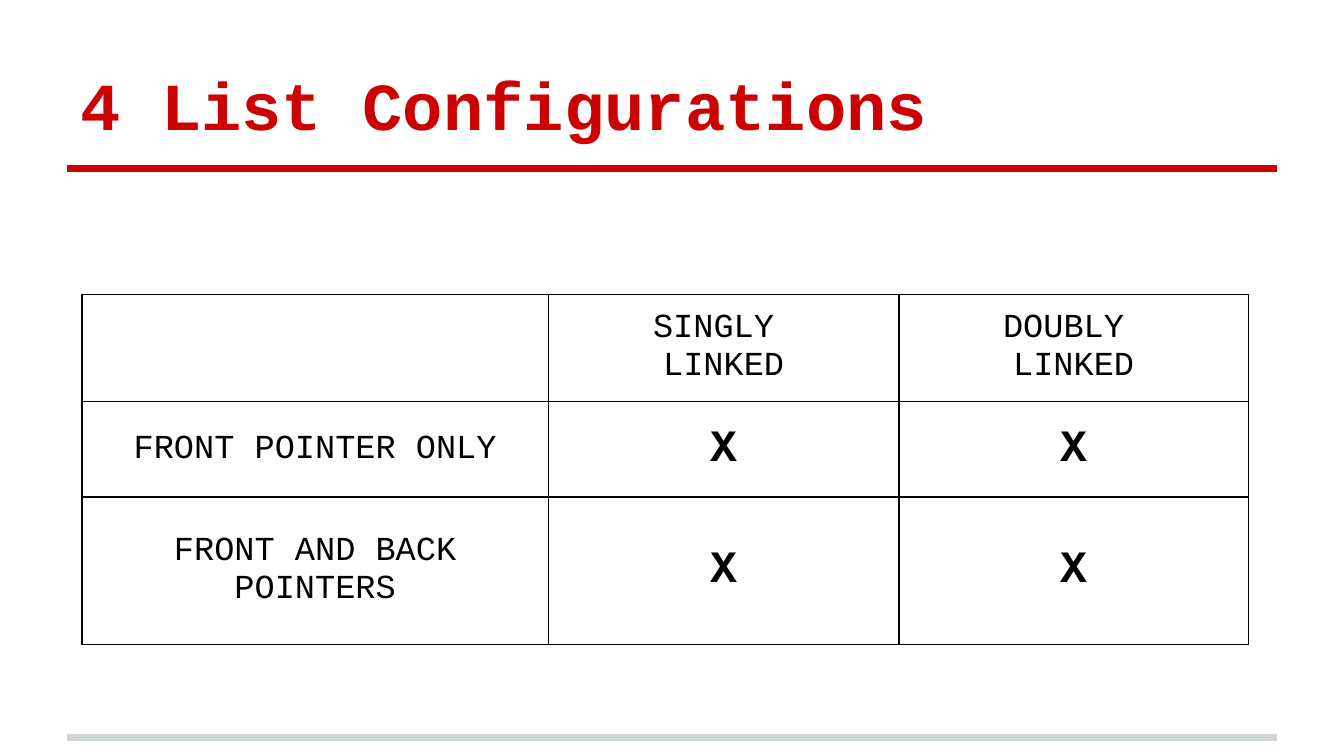
from lxml.etree import SubElement
from pptx import Presentation
from pptx.dml.color import RGBColor
from pptx.enum.text import MSO_ANCHOR, PP_ALIGN
from pptx.enum.shapes import MSO_CONNECTOR
from pptx.oxml import parse_xml
from pptx.oxml.ns import nsdecls, qn
from pptx.util import Cm, Pt

hues = {"red": "CC0202", "gray": "CFD4D4", "black": "000000"}
face = "Courier New"
looks = {
    "title": {"name": face, "size": Pt(36), "bold": True},
    "label": {"name": face, "size": Pt(18), "bold": False},
    "mark": {"name": face, "size": Pt(24), "bold": True},
}
pad = Cm(0.25)
inset = {f"margin_{side}": pad for side in ("left", "top", "right", "bottom")}


def assign(item, values):
    for key, value in values.items():
        setattr(item, key, value)


def write(frame, text, look, hue, align):
    frame.text = text
    for para in frame.paragraphs:
        para.alignment = align
        for run in para.runs:
            assign(run.font, looks[look])
            run.font.color.rgb = RGBColor.from_string(hues[hue])


deck = Presentation()
assign(deck, {"slide_width": Cm(25.4), "slide_height": Cm(14.29)})
slide = deck.slides.add_slide(deck.slide_layouts[6])

for top, hue in ((13.94, "gray"), (3.18, "red")):
    rule = slide.shapes.add_connector(
        MSO_CONNECTOR.STRAIGHT, Cm(1.27), Cm(top), Cm(24.13), Cm(top))
    rule.line.color.rgb = RGBColor.from_string(hues[hue])
    rule.line.width = Pt(4)
    SubElement(rule._element.spPr, qn("a:effectLst"))

title = slide.shapes.add_textbox(Cm(1.27), Cm(0.58), Cm(22.86), Cm(2.39)).text_frame
assign(title, {**inset, "word_wrap": True, "vertical_anchor": MSO_ANCHOR.BOTTOM})
write(title, "4 List Configurations", "title", "red", PP_ALIGN.LEFT)

cells = [
    ["", "SINGLY \nLINKED", "DOUBLY \nLINKED"],
    ["FRONT POINTER ONLY", "X", "X"],
    ["FRONT AND BACK POINTERS", "X", "X"],
]
wide = [8.81, 6.63, 6.6]
high = [1.96, 1.81, 2.79]
grid = slide.shapes.add_table(
    len(high), len(wide), Cm(1.55), Cm(5.56), Cm(sum(wide)), Cm(sum(high))).table
assign(grid, {"first_row": False, "horz_banding": False})
for col, width in zip(grid.columns, wide):
    col.width = Cm(width)
for row, height, texts in zip(grid.rows, high, cells):
    row.height = Cm(height)
    for cell, text in zip(row.cells, texts):
        assign(cell, {**inset, "vertical_anchor": MSO_ANCHOR.MIDDLE})
        cell.fill.background()
        look = "mark" if text == "X" else "label"
        write(cell.text_frame, text, look, "black", PP_ALIGN.CENTER)
        props = cell._tc.get_or_add_tcPr()
        for spot, edge in enumerate("LRTB"):
            props.insert(spot, parse_xml(
                f'<a:ln{edge} {nsdecls("a")} w="{Pt(0.75)}"><a:solidFill>'
                f'<a:srgbClr val="{hues["black"]}"/></a:solidFill></a:ln{edge}>'))

deck.save("out.pptx")
